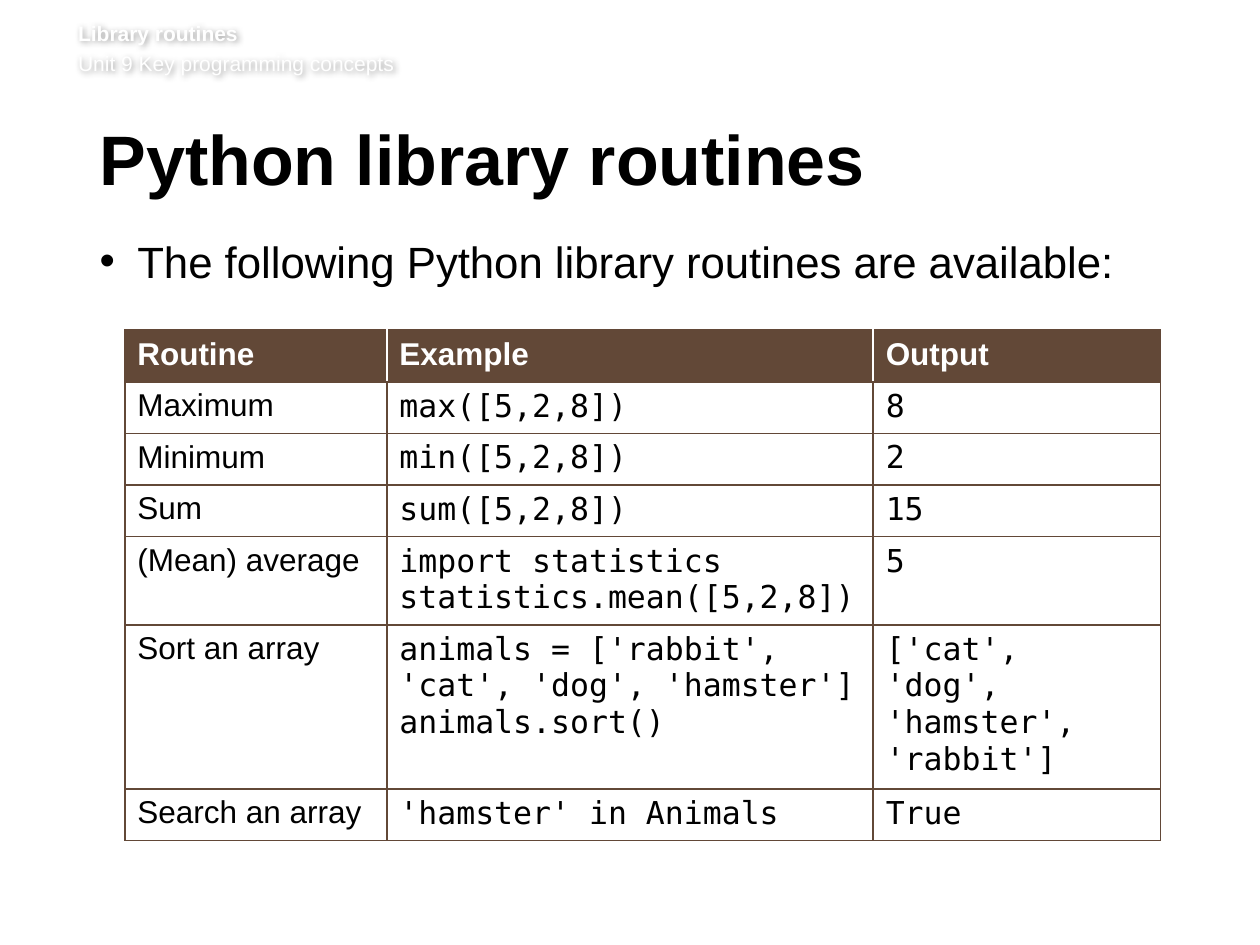
from lxml import etree
from pptx import Presentation
from pptx.dml.color import RGBColor
from pptx.enum.text import MSO_ANCHOR
from pptx.oxml import parse_xml
from pptx.oxml.ns import nsdecls, qn
from pptx.util import Inches, Pt

TOP = MSO_ANCHOR.TOP
BLACK = RGBColor(0x00, 0x00, 0x00)
WHITE = RGBColor(0xFF, 0xFF, 0xFF)
BROWN = RGBColor(0x62, 0x48, 0x37)
SANS = "Arial"
MONO = "DejaVu Sans Mono"

COLUMN_WIDTHS = (2.08, 3.86, 2.28)
ROW_HEIGHT = 0.41
ROUTINES = [
    ("Routine", "Example", "Output"),
    ("Maximum", "max([5,2,8])", "8"),
    ("Minimum", "min([5,2,8])", "2"),
    ("Sum", "sum([5,2,8])", "15"),
    ("(Mean) average", "import statistics\nstatistics.mean([5,2,8])", "5"),
    ("Sort an array",
     "animals = ['rabbit', 'cat', 'dog', 'hamster']\nanimals.sort()",
     "['cat', 'dog', 'hamster', 'rabbit']"),
    ("Search an array", "'hamster' in Animals", "True"),
]


def add_text_box(page, left, top, width, height, margins):
    """Add a wrapping box; margins are left, top, right, bottom in inches."""
    box = page.shapes.add_textbox(Inches(left), Inches(top), Inches(width), Inches(height))
    frame = box.text_frame
    frame.word_wrap = True
    frame.vertical_anchor = TOP
    (frame.margin_left, frame.margin_top,
     frame.margin_right, frame.margin_bottom) = map(Inches, margins)
    return box


def write(para, text, size, color=BLACK, font=SANS, bold=False):
    """Fill a paragraph; a newline becomes a line break."""
    para.text = text
    for span in para.runs:
        span.font.size = Pt(size)
        span.font.name = font
        span.font.bold = bold
        span.font.color.rgb = color


def add_soft_shadow(box):
    box._element.spPr.append(parse_xml(
        f'<a:effectLst {nsdecls("a")}>'
        f'<a:outerShdw blurRad="{Pt(4)}" dist="{Pt(1)}" dir="2700000" algn="tl" rotWithShape="0">'
        '<a:srgbClr val="000000"><a:alpha val="40000"/></a:srgbClr>'
        '</a:outerShdw></a:effectLst>'))


def add_header(page, left, top, width, height):
    box = add_text_box(page, left, top, width, height, (0, 0, 0, 0.05))
    frame = box.text_frame
    write(frame.paragraphs[0], "Library routines", 12, WHITE, bold=True)
    unit = frame.add_paragraph()
    unit.space_before = Pt(2.9)
    write(unit, "Unit 9 Key programming concepts", 12, WHITE)
    add_soft_shadow(box)


def add_title(page, left, top, width, height):
    box = add_text_box(page, left, top, width, height, (0, 0.05, 0.1, 0.05))
    para = box.text_frame.paragraphs[0]
    para.line_spacing = Pt(39)
    para.space_after = Pt(15)
    write(para, "Python library routines", 40, bold=True)


def add_bullet(page, left, top, width, height):
    box = add_text_box(page, left, top, width, height, (0, 0, 0.1, 0.05))
    para = box.text_frame.paragraphs[0]
    para.space_after = Pt(14)
    properties = para._p.get_or_add_pPr()
    properties.set("marL", str(Inches(0.3)))
    properties.set("indent", str(-Inches(0.3)))
    etree.SubElement(properties, qn("a:buFont"), typeface=SANS)
    etree.SubElement(properties, qn("a:buChar"), char="•")
    write(para, "The following Python library routines are available:", 25)


def set_borders(cell, **colors):
    """Draw 1 pt borders, with colours by side: L, R, T, B."""
    properties = cell._tc.get_or_add_tcPr()
    for index, side in enumerate("LRTB"):
        properties.insert(index, parse_xml(
            f'<a:ln{side} {nsdecls("a")} w="{Pt(1)}"><a:solidFill>'
            f'<a:srgbClr val="{colors[side]}"/></a:solidFill></a:ln{side}>'))


def add_routine_table(page, left, top):
    rows, columns = len(ROUTINES), len(COLUMN_WIDTHS)
    table = page.shapes.add_table(
        rows, columns, Inches(left), Inches(top),
        Inches(sum(COLUMN_WIDTHS)), Inches(ROW_HEIGHT * rows)).table
    table.horz_banding = False
    for column, width in zip(table.columns, COLUMN_WIDTHS):
        column.width = Inches(width)
    for r, texts in enumerate(ROUTINES):
        table.rows[r].height = Inches(ROW_HEIGHT)
        is_head = r == 0
        for c, text in enumerate(texts):
            cell = table.cell(r, c)
            if is_head:
                cell.fill.solid()
                cell.fill.fore_color.rgb = BROWN
            else:
                cell.fill.background()
            set_borders(cell, T=BROWN, B=BROWN,
                        L=WHITE if is_head and c > 0 else BROWN,
                        R=WHITE if is_head and c < columns - 1 else BROWN)
            write(cell.text_frame.paragraphs[0], text, 18,
                  WHITE if is_head else BLACK,
                  SANS if is_head or c == 0 else MONO, bold=is_head)


def main():
    deck = Presentation()
    deck.slide_width, deck.slide_height = Inches(10), Inches(7.5)
    page = deck.slides.add_slide(deck.slide_layouts[6])
    add_header(page, 0.62, 0.16, 8.82, 0.49)
    add_title(page, 0.79, 0.99, 8.55, 0.73)
    add_bullet(page, 0.79, 1.86, 8.53, 3.78)
    add_routine_table(page, 0.99, 2.62)
    deck.save("out.pptx")


if __name__ == "__main__":
    main()
